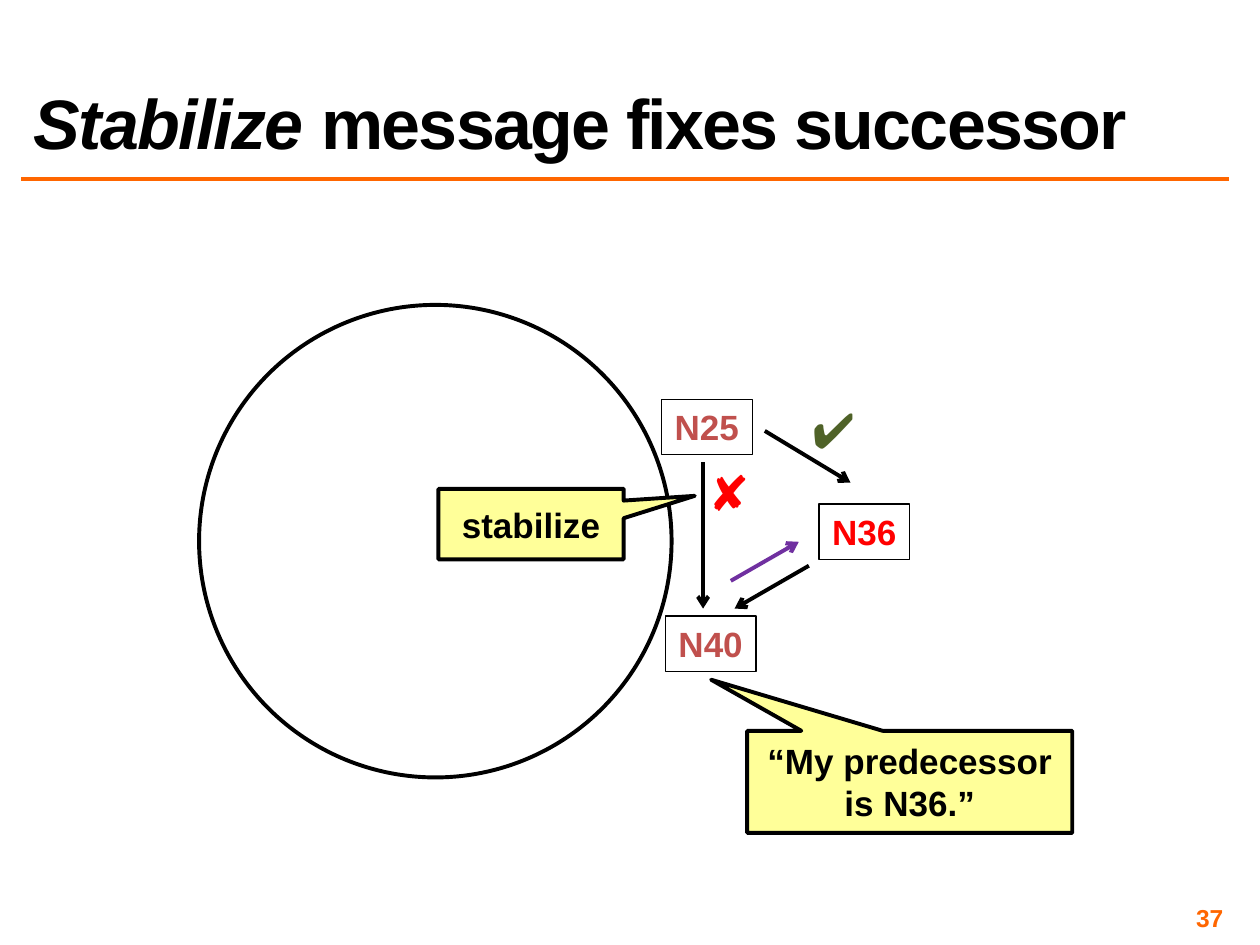
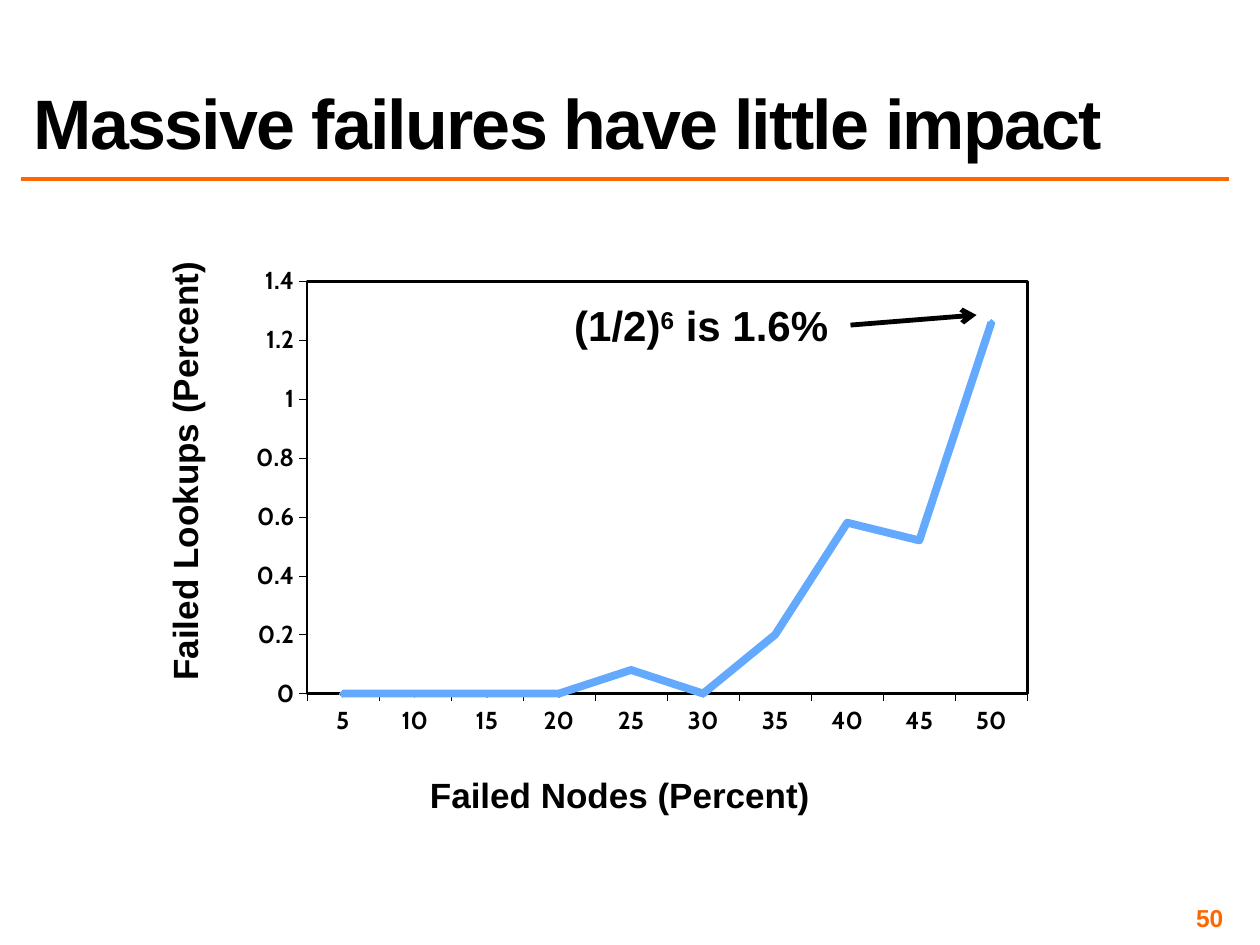
from lxml import etree
from pptx import Presentation
from pptx.chart.data import CategoryChartData
from pptx.dml.color import RGBColor
from pptx.enum.chart import XL_CHART_TYPE, XL_MARKER_STYLE, XL_TICK_MARK
from pptx.enum.shapes import MSO_CONNECTOR, MSO_SHAPE
from pptx.enum.text import MSO_ANCHOR, PP_ALIGN
from pptx.oxml import parse_xml
from pptx.oxml.ns import nsdecls, qn
from pptx.util import Inches, Pt

STRAIGHT = MSO_CONNECTOR.STRAIGHT
ELLIPSE, RECTANGLE = MSO_SHAPE.OVAL, MSO_SHAPE.RECTANGLE
CALLOUT = MSO_SHAPE.RECTANGULAR_CALLOUT
TOP, MIDDLE, BOTTOM = MSO_ANCHOR.TOP, MSO_ANCHOR.MIDDLE, MSO_ANCHOR.BOTTOM
LEFT, CENTER, RIGHT = PP_ALIGN.LEFT, PP_ALIGN.CENTER, PP_ALIGN.RIGHT
LINE_MARKERS, DIAMOND = XL_CHART_TYPE.LINE_MARKERS, XL_MARKER_STYLE.DIAMOND
TICK_OUTSIDE = XL_TICK_MARK.OUTSIDE

BLACK, ORANGE, RED, BRICK = "000000", "FF6600", "FF0000", "C0504D"
PURPLE, GREEN, YELLOW, BLUE = "7030A0", "4F6228", "FFFF99", "63AAFE"
TEXT_FONT, CHART_FONT = "Arial", "Cabin"
BLANK_LAYOUT = 6
NODE_SIZE = (0.72, 0.44)
MARK_SIZE = (0.59, 0.57)
FAILED_NODES = range(5, 51, 5)
FAILED_LOOKUPS = (0, 0, 0, 0, 0.08, 0, 0.2, 0.58, 0.52, 1.26)
PLOT_LAYOUT = {"x": 0.109, "y": 0.086, "w": 0.872, "h": 0.754}


def color(hex_code):
    """Turn a hex string into a colour."""
    return RGBColor.from_string(hex_code)


def apply_format(target, values):
    """Set every attribute named in a dict of format values."""
    for name, value in values.items():
        setattr(target, name, value)


def set_font(font, size, hex_code, family=TEXT_FONT, **extra):
    """Give a font its bold deck style."""
    apply_format(font, {"name": family, "size": Pt(size), "bold": True, **extra})
    font.color.rgb = color(hex_code)


def set_line(line, hex_code, width):
    """Give a line its colour and width in points."""
    line.color.rgb = color(hex_code)
    line.width = Pt(width)


def write_text(shape, runs, size, hex_code, align=CENTER, anchor=TOP, wrap=False):
    """Fill a shape with one paragraph of (text, font extras, run attributes)."""
    frame = shape.text_frame
    apply_format(frame, {"word_wrap": wrap, "vertical_anchor": anchor})
    paragraph = frame.paragraphs[0]
    paragraph.alignment = align
    if isinstance(runs, str):
        runs = [(runs, {}, {})]
    for text, extra, attributes in runs:
        run = paragraph.add_run()
        run.text = text
        set_font(run.font, size, hex_code, **extra)
        for name, value in attributes.items():
            run._r.get_or_add_rPr().set(name, value)
    return frame


def add_label(slide, box, runs, size=20, hex_code=BLACK, rotation=0, **layout):
    """Add a text box and return its text frame."""
    label = slide.shapes.add_textbox(*map(Inches, box))
    label.rotation = rotation
    return write_text(label, runs, size, hex_code, **layout)


def add_outline(slide, kind, box, width, fill=None):
    """Add a black-edged shape, hollow unless a fill is given."""
    shape = slide.shapes.add_shape(kind, *map(Inches, box))
    shape.shadow.inherit = False
    if fill:
        shape.fill.solid()
        shape.fill.fore_color.rgb = color(fill)
    else:
        shape.fill.background()
    set_line(shape.line, BLACK, width)
    return shape


def add_node(slide, name, corner, hex_code):
    """Add a named ring node."""
    node = add_outline(slide, RECTANGLE, (*corner, *NODE_SIZE), 0.75)
    write_text(node, name, 20, hex_code)


def add_callout(slide, text, box, pointer):
    """Add a yellow speech callout with its pointer offsets."""
    callout = add_outline(slide, CALLOUT, box, 2.25, YELLOW)
    for index, offset in enumerate(pointer):
        callout.adjustments[index] = offset
    write_text(callout, text, 20, BLACK, anchor=MIDDLE, wrap=True)


def add_line(slide, start, end, hex_code=BLACK, width=2.25, arrow=True):
    """Add a straight line, with an open arrowhead at its end if wanted."""
    line = slide.shapes.add_connector(STRAIGHT, *map(Inches, (*start, *end)))
    set_line(line.line, hex_code, width)
    if arrow:
        outline = line.line._get_or_add_ln()
        etree.SubElement(outline, qn("a:tailEnd"), type="arrow")
    etree.SubElement(line._element.spPr, qn("a:effectLst"))


def add_page(deck, title_runs, number):
    """Add a slide with the shared rule, page number and title."""
    slide = deck.slides.add_slide(deck.slide_layouts[BLANK_LAYOUT])
    add_line(slide, (0.17, 1.42), (9.75, 1.42), ORANGE, 2, arrow=False)
    footer = add_label(slide, (7.42, 7.17, 2.33, 0.23), str(number), 14, ORANGE,
                       align=RIGHT, anchor=MIDDLE, wrap=True)
    sides = ("left", "top", "right", "bottom")
    apply_format(footer, {f"margin_{side}": Inches(0.04) for side in sides})
    runs = [(text, {"italic": italic}, {"spc": "-100"}) for text, italic in title_runs]
    title = add_label(slide, (0.17, 0.17, 9.58, 1.17), runs, 40,
                      align=LEFT, anchor=BOTTOM, wrap=True)
    title.paragraphs[0].line_spacing = 0.8
    return slide


def frame_plot(chart):
    """Fix the inner plot area and draw a black border round it."""
    plot_area = chart._chartSpace.chart.plotArea
    for layout in plot_area.findall(qn("c:layout")):
        plot_area.remove(layout)
    modes = '<c:layoutTarget val="inner"/><c:xMode val="edge"/><c:yMode val="edge"/>'
    extents = "".join(f'<c:{key} val="{value}"/>' for key, value in PLOT_LAYOUT.items())
    plot_area.insert(0, parse_xml(
        f'<c:layout {nsdecls("c")}><c:manualLayout>{modes}{extents}'
        '</c:manualLayout></c:layout>'))
    plot_area.append(parse_xml(
        f'<c:spPr {nsdecls("c", "a")}><a:noFill/><a:ln w="19050"><a:solidFill>'
        f'<a:srgbClr val="{BLACK}"/></a:solidFill></a:ln></c:spPr>'))


def add_failure_chart(slide):
    """Add the line chart of failed lookups against failed nodes."""
    data = CategoryChartData()
    data.categories = [str(percent) for percent in FAILED_NODES]
    data.add_series("Series 1", FAILED_LOOKUPS)
    box = map(Inches, (1.72, 1.86, 6.56, 4.34))
    chart = slide.shapes.add_chart(LINE_MARKERS, *box, data).chart
    apply_format(chart, {"has_legend": False, "has_title": False})
    set_font(chart.font, 14, BLACK, CHART_FONT)
    for axis in (chart.category_axis, chart.value_axis):
        apply_format(axis, {"has_major_gridlines": False, "major_tick_mark": TICK_OUTSIDE})
        set_font(axis.tick_labels.font, 14, BLACK, CHART_FONT)
        set_line(axis.format.line, BLACK, 0.25)
    apply_format(chart.value_axis,
                 {"minimum_scale": 0, "maximum_scale": 1.4, "major_unit": 0.2})
    chart.plots[0].vary_by_categories = False
    lookups = chart.plots[0].series[0]
    lookups.smooth = False
    set_line(lookups.format.line, BLUE, 4.5)
    apply_format(lookups.marker, {"style": DIAMOND, "size": 4})
    lookups.marker.format.fill.solid()
    lookups.marker.format.fill.fore_color.rgb = color(BLUE)
    lookups.marker.format.line.color.rgb = color(BLUE)
    frame_plot(chart)


def build_stabilize(deck):
    """Build the slide on how stabilize repairs the successor pointer."""
    slide = add_page(deck, [("Stabilize ", True), ("message fixes successor", False)], 37)
    add_outline(slide, ELLIPSE, (1.58, 2.42, 3.75, 3.75), 2.25)
    add_node(slide, "N36", (6.5, 4), RED)
    add_node(slide, "N40", (5.28, 4.89), BRICK)
    add_node(slide, "N25", (5.25, 3.17), BRICK)
    add_line(slide, (5.58, 3.67), (5.58, 4.83))
    add_line(slide, (6.42, 4.49), (5.83, 4.83))
    add_line(slide, (5.8, 4.61), (6.34, 4.3), PURPLE)
    add_callout(slide, "stabilize", (3.48, 3.88, 1.47, 0.56), (0.884, -0.4))
    add_callout(slide, "“My predecessor is N36.”", (5.93, 5.8, 2.58, 0.81),
                (-0.611, -1.001))
    add_line(slide, (6.07, 3.42), (6.75, 3.83))
    add_label(slide, (6.32, 3.12, *MARK_SIZE), "✔", 28, GREEN)
    add_label(slide, (5.49, 3.62, *MARK_SIZE), "✘", 28, RED)


def build_failures(deck):
    """Build the slide on lookups under massive failures."""
    slide = add_page(deck, [("Massive failures have little impact", False)], 50)
    add_failure_chart(slide)
    add_label(slide, (-0.31, 3.52, 3.55, 0.44), "Failed Lookups (Percent)", rotation=270)
    add_label(slide, (3.3, 6.09, 3.24, 0.44), "Failed Nodes (Percent)")
    formula = [("(1/2)", {}, {}), ("6", {}, {"baseline": "30000"}), (" is 1.6%", {}, {})]
    add_label(slide, (4.44, 2.33, 2.25, 0.5), formula, 24)
    add_line(slide, (6.75, 2.58), (7.75, 2.5), width=2.75)


def main():
    """Build and save the deck."""
    deck = Presentation()
    apply_format(deck, {"slide_width": Inches(10), "slide_height": Inches(7.5)})
    build_stabilize(deck)
    build_failures(deck)
    deck.save("out.pptx")


if __name__ == "__main__":
    main()
